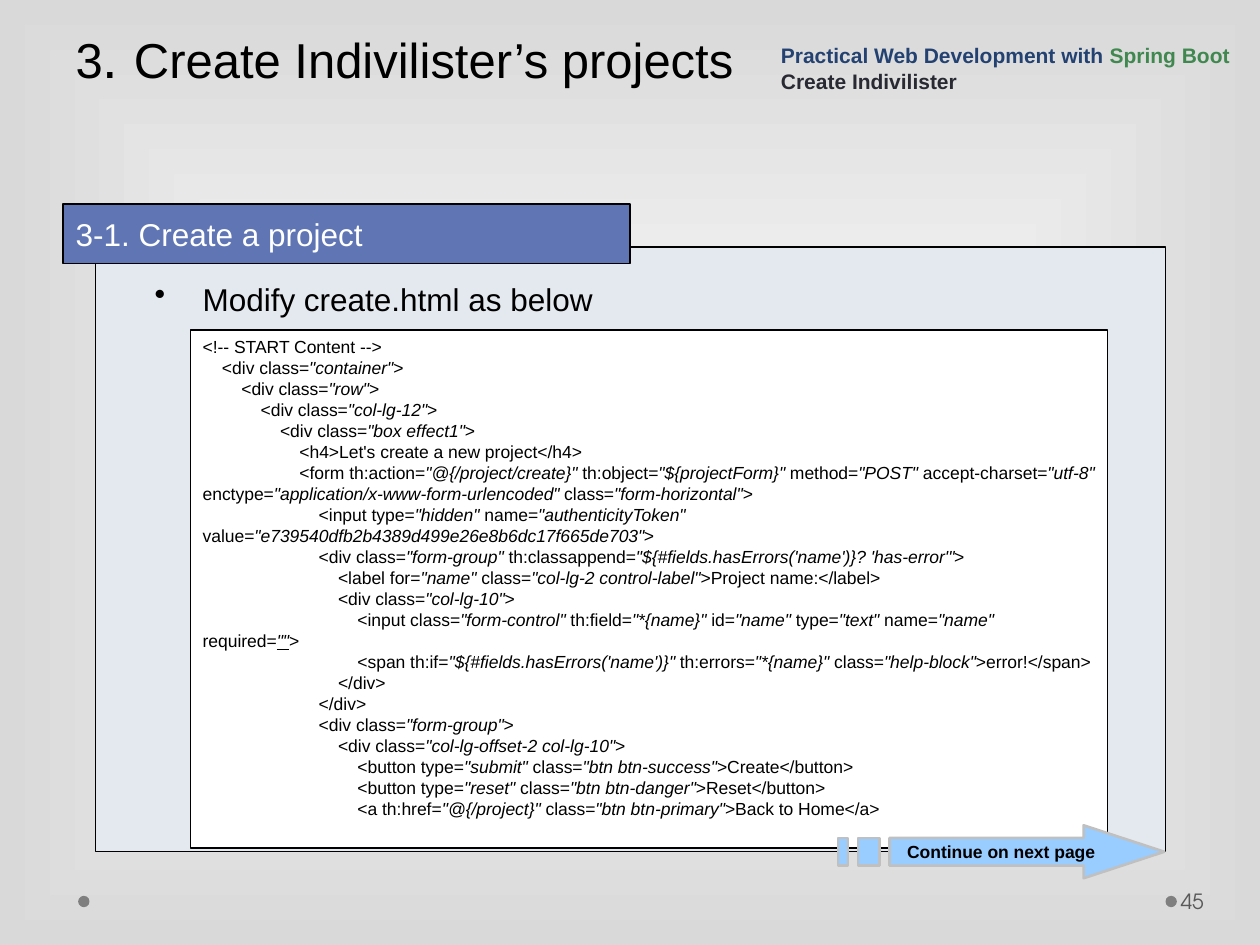
from pptx import Presentation
from pptx.dml.color import RGBColor
from pptx.enum.shapes import MSO_SHAPE as Shape
from pptx.enum.text import MSO_ANCHOR as Anchor, MSO_AUTO_SIZE as AutoSize, PP_ALIGN as Align
from pptx.oxml import parse_xml
from pptx.oxml.ns import nsdecls
from pptx.util import Inches, Pt
from lxml.etree import SubElement

# Content
COLORS = {
    "black": "000000", "white": "FFFFFF", "edge": "D9D9D9", "panel": "E4E9EF",
    "heading": "6076B4", "navy": "234271", "green": "40884F", "dark": "292934",
    "dot": "7F7F7F", "number": "595959", "arrow": "99CCFF", "arrow_line": "C0C0C0",
}
TITLE = [("3", 28), (". ", 32), ("Create Indivilister’s projects", 28)]
HEADING = "3-1. Create a project"
BULLET = "Modify create.html as below"
COURSE = [
    [("Practical Web Development with ", "navy"), ("Spring Boot", "green")],
    [("Create Indivilister", "dark")],
]
CONTINUE = "Continue on next page"
PAGE_NUMBER = "45"
# Code lines as (indent level, code)
CODE = [
    (0, '<!-- START Content -->'),
    (1, '<div class="container">'),
    (2, '<div class="row">'),
    (3, '<div class="col-lg-12">'),
    (4, '<div class="box effect1">'),
    (5, "<h4>Let's create a new project</h4>"),
    (5, '<form th:action="@{/project/create}" th:object="${projectForm}" method="POST" '
        'accept-charset="utf-8" enctype="application/x-www-form-urlencoded" '
        'class="form-horizontal">'),
    (6, '<input type="hidden" name="authenticityToken" '
        'value="e739540dfb2b4389d499e26e8b6dc17f665de703">'),
    (6, '<div class="form-group" '
        'th:classappend="${#fields.hasErrors(\'name\')}? \'has-error\'">'),
    (7, '<label for="name" class="col-lg-2 control-label">Project name:</label>'),
    (7, '<div class="col-lg-10">'),
    (8, '<input class="form-control" th:field="*{name}" id="name" type="text" '
        'name="name" required="">'),
    (8, '<span th:if="${#fields.hasErrors(\'name\')}" th:errors="*{name}" '
        'class="help-block">error!</span>'),
    (7, '</div>'),
    (6, '</div>'),
    (6, '<div class="form-group">'),
    (7, '<div class="col-lg-offset-2 col-lg-10">'),
    (8, '<button type="submit" class="btn btn-success">Create</button>'),
    (8, '<button type="reset" class="btn btn-danger">Reset</button>'),
    (8, '<a th:href="@{/project}" class="btn btn-primary">Back to Home</a>'),
]
INDENT = "    "

# Arrow outlines in hundredths of an inch
BAR_TOP, BAR_BOTTOM = 665, 687
ARROW_HEAD = [(860, 655), (860, BAR_TOP), (706, BAR_TOP), (706, BAR_BOTTOM),
              (860, BAR_BOTTOM), (860, 697), (924, 676)]
STRIPES = [(681, 698), (665, 673)]


def color(name):
    return RGBColor.from_string(COLORS[name])


def place(shape, left, top, width, height):
    shape.left, shape.top = Inches(left), Inches(top)
    shape.width, shape.height = Inches(width), Inches(height)


def paint(shape, fill, line=None, weight=0.75):
    shape.fill.solid()
    shape.fill.fore_color.rgb = color(fill)
    if line:
        shape.line.color.rgb = color(line)
        shape.line.width = Pt(weight)
    else:
        shape.line.fill.background()


def add_box(slide, kind, box, fill, line=None):
    shape = slide.shapes.add_shape(kind, *[Inches(length) for length in box])
    shape.shadow.inherit = False
    paint(shape, fill, line)
    return shape


def set_frame(shape, anchor=Anchor.TOP, wrap=True):
    frame = shape.text_frame
    frame.auto_size = AutoSize.NONE
    frame.vertical_anchor = anchor
    frame.word_wrap = wrap
    return frame


def add_text(slide, box, anchor=Anchor.TOP):
    return set_frame(slide.shapes.add_textbox(*[Inches(length) for length in box]), anchor)


def add_run(paragraph, text, size, ink="black", bold=False, italic=False, face="Arial"):
    run = paragraph.add_run()
    run.text = text
    font = run.font
    font.name, font.size, font.bold, font.italic = face, Pt(size), bold, italic
    font.color.rgb = color(ink)
    return run


def set_bullet(paragraph, character=None, indent=0):
    properties = paragraph._p.get_or_add_pPr()
    properties.set("marL", str(Inches(indent)))
    properties.set("indent", str(-Inches(indent)))
    namespace = "{http://schemas.openxmlformats.org/drawingml/2006/main}"
    if character:
        SubElement(properties, namespace + "buChar", char=character)
    else:
        SubElement(properties, namespace + "buNone")


def each_paragraph(frame, items):
    for index, item in enumerate(items):
        yield (frame.add_paragraph() if index else frame.paragraphs[0]), item


def set_background(slide):
    stops = "".join(f'<a:gs pos="{position}"><a:srgbClr val="{COLORS[name]}"/></a:gs>'
                    for position, name in [(0, "white"), (100000, "edge")])
    slide._element.cSld.insert(0, parse_xml(
        f'<p:bg {nsdecls("p", "a")}><p:bgPr><a:gradFill><a:gsLst>{stops}</a:gsLst>'
        '<a:path path="rect"><a:fillToRect l="50000" t="50000" r="50000" b="50000"/></a:path>'
        '</a:gradFill><a:effectLst/></p:bgPr></p:bg>'))


def add_arrow(slide):
    builder = slide.shapes.build_freeform(*ARROW_HEAD[0], scale=Inches(0.01))
    builder.add_line_segments(ARROW_HEAD[1:], close=True)
    for left, right in STRIPES:
        builder.move_to(left, BAR_TOP)
        builder.add_line_segments(
            [(left, BAR_BOTTOM), (right, BAR_BOTTOM), (right, BAR_TOP)], close=True)
    arrow = builder.convert_to_shape()
    arrow.shadow.inherit = False
    paint(arrow, "arrow", "arrow_line", 1.5)
    paragraph = set_frame(arrow, Anchor.MIDDLE, wrap=False).paragraphs[0]
    paragraph.alignment = Align.CENTER
    add_run(paragraph, CONTINUE, 10, bold=True)


def main():
    presentation = Presentation()
    presentation.slide_width, presentation.slide_height = Inches(10), Inches(7.5)
    slide = presentation.slides.add_slide(presentation.slide_layouts[1])
    title, heading = slide.placeholders
    set_background(slide)

    # Footer dots and content panel, behind the placeholders
    backdrop = [add_box(slide, Shape.OVAL, (left, 7.11, 0.09, 0.09), "dot")
                for left in (9.25, 0.62)]
    backdrop.append(add_box(slide, Shape.RECTANGLE, (0.76, 1.96, 8.49, 4.8), "panel", "black"))
    for position, shape in enumerate(backdrop, start=2):
        slide.shapes._spTree.insert(position, shape._element)

    # Page number
    frame = add_text(slide, (9.34, 6.95, 0.61, 0.4), Anchor.MIDDLE)
    frame.margin_left, frame.margin_right = Inches(0.03), Inches(0.05)
    add_run(frame.paragraphs[0], PAGE_NUMBER, 12, "number", face="TeX Gyre Adventor")

    # Title
    place(title, 0.5, 0, 9, 1.61)
    frame = set_frame(title, Anchor.BOTTOM)
    frame.margin_bottom = Inches(0.9)
    frame.paragraphs[0].alignment = Align.LEFT
    for text, size in TITLE:
        add_run(frame.paragraphs[0], text, size)

    # Section heading
    place(heading, 0.5, 1.62, 4.5, 0.47)
    paint(heading, "heading", "black")
    paragraph = set_frame(heading, Anchor.MIDDLE).paragraphs[0]
    set_bullet(paragraph)
    paragraph.space_before = Pt(0)
    add_run(paragraph, HEADING, 18, "white")

    # Bullet line
    paragraph = add_text(slide, (1.13, 2.17, 7.74, 0.4)).paragraphs[0]
    set_bullet(paragraph, "•", 0.38)
    add_run(paragraph, BULLET, 18)

    # Course name
    frame = add_text(slide, (6.1, 0.24, 3.9, 0.55), Anchor.BOTTOM)
    for paragraph, parts in each_paragraph(frame, COURSE):
        for text, ink in parts:
            add_run(paragraph, text, 12, ink, bold=True)

    # Code listing: quoted values are italic, an empty value is underlined
    listing = add_box(slide, Shape.RECTANGLE, (1.51, 2.62, 7.28, 4.11), "white", "black")
    for paragraph, (level, line) in each_paragraph(set_frame(listing), CODE):
        paragraph.alignment = Align.LEFT
        paragraph.line_spacing = Pt(12)
        for index, part in enumerate((INDENT * level + line).split('"')):
            quoted = index % 2 == 1
            run = add_run(paragraph, f'"{part}"' if quoted else part, 10, italic=quoted)
            if quoted and not part:
                run.font.underline = True

    add_arrow(slide)
    presentation.save("out.pptx")


if __name__ == "__main__":
    main()
